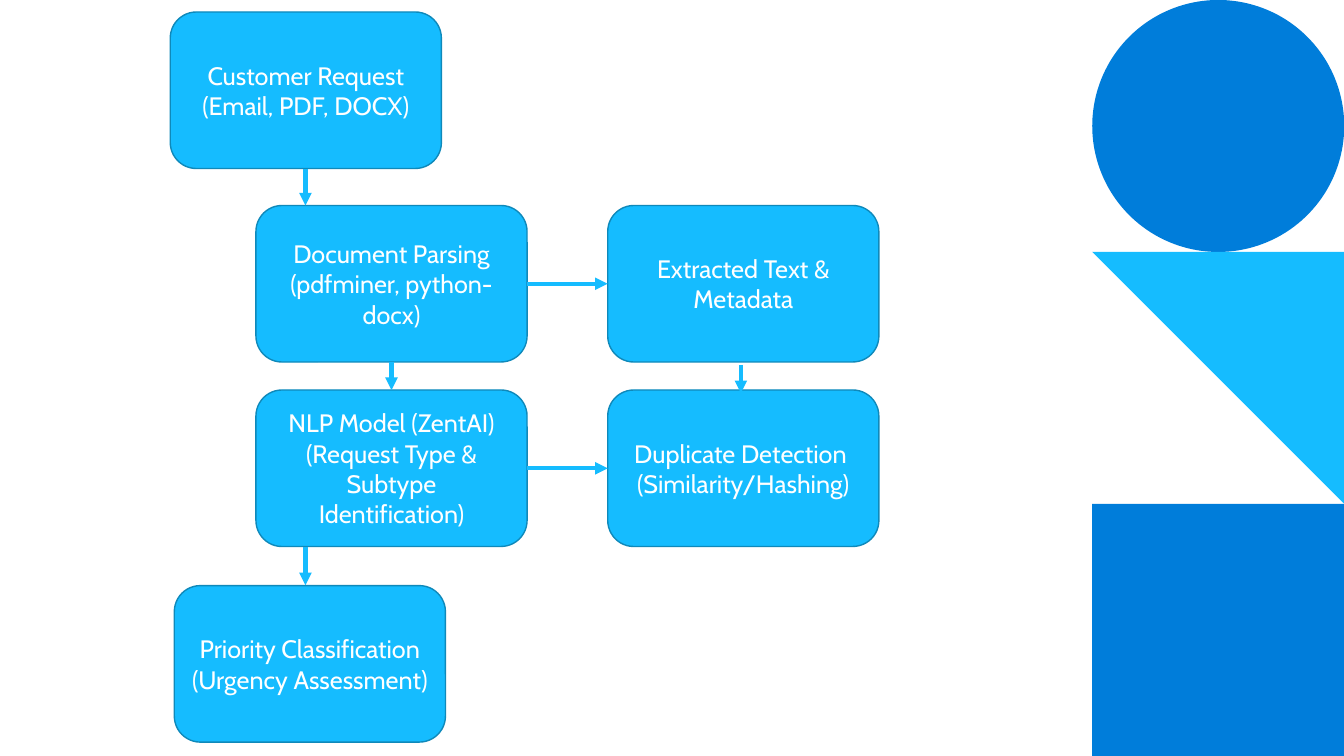
from dataclasses import dataclass

from lxml.etree import SubElement
from pptx import Presentation
from pptx.dml.color import RGBColor
from pptx.enum.shapes import MSO_CONNECTOR as Connector, MSO_SHAPE as Shape
from pptx.enum.text import MSO_ANCHOR as Anchor, PP_ALIGN as Align
from pptx.oxml.ns import qn
from pptx.util import Pt


@dataclass(frozen=True)
class Theme:
    deep: RGBColor = RGBColor(0x00, 0x7D, 0xDA)
    bright: RGBColor = RGBColor(0x15, 0xBC, 0xFF)
    outline: RGBColor = RGBColor(0x0F, 0x89, 0xBA)
    label: RGBColor = RGBColor(0xFF, 0xFF, 0xFF)
    font: str = "Cabin"
    label_size: float = 18
    outline_width: float = 1
    arrow_width: float = 3


THEME = Theme()
STEP_WIDTH, STEP_HEIGHT = 193.7, 111.8
TOP, RIGHT, BOTTOM, LEFT = 0, 3, 2, 1

STEPS = {
    "request": (0, 0, ["Customer Request", "(Email, PDF, DOCX)"]),
    "parsing": (61.2, 138.2, ["Document Parsing", "(pdfminer, python-docx)"]),
    "extracted": (312.5, 138.2, ["Extracted Text & Metadata"]),
    "model": (61.2, 270, ["NLP Model (ZentAI) (Request Type & Subtype Identification)"]),
    "duplicates": (312.5, 270, ["Duplicate Detection ", "(Similarity/Hashing)"]),
    "priority": (2.9, 409.7, ["Priority Classification", "(Urgency Assessment)"]),
}
GLUED_ARROWS = [
    ("parsing", RIGHT, "extracted", LEFT),
    ("model", RIGHT, "duplicates", LEFT),
    ("parsing", BOTTOM, "model", TOP),
]
DOWN_ARROWS = [
    (96.6, 111.8, 138.2),
    (407.6, 252, 272.2),
    (96.6, 382, 409.4),
]


def paint(shape, color):
    shape.shadow.inherit = False
    shape.fill.solid()
    shape.fill.fore_color.rgb = color
    shape.line.fill.background()


def add_step(slide, left, top, lines):
    step = slide.shapes.add_shape(
        Shape.ROUNDED_RECTANGLE, Pt(left), Pt(top), Pt(STEP_WIDTH), Pt(STEP_HEIGHT))
    paint(step, THEME.bright)
    step.line.color.rgb = THEME.outline
    step.line.width = Pt(THEME.outline_width)
    label = step.text_frame
    label.word_wrap = True
    label.vertical_anchor = Anchor.MIDDLE
    label.text = "\n".join(lines)
    for paragraph in label.paragraphs:
        paragraph.alignment = Align.CENTER
        paragraph.font.name = THEME.font
        paragraph.font.size = Pt(THEME.label_size)
        paragraph.font.color.rgb = THEME.label
    return step


def add_arrow(slide, x=0, start=0, end=0):
    arrow = slide.shapes.add_connector(
        Connector.STRAIGHT, Pt(x), Pt(start), Pt(x), Pt(end))
    arrow.line.color.rgb = THEME.bright
    arrow.line.width = Pt(THEME.arrow_width)
    SubElement(arrow.line._get_or_add_ln(), qn("a:tailEnd"), type="triangle")
    SubElement(arrow._element.spPr, qn("a:effectLst"))
    return arrow


def add_flow(slide, left, top):
    steps = {key: add_step(slide, left + dx, top + dy, lines)
             for key, (dx, dy, lines) in STEPS.items()}
    for source, source_side, target, target_side in GLUED_ARROWS:
        arrow = add_arrow(slide)
        arrow.begin_connect(steps[source], source_side)
        arrow.end_connect(steps[target], target_side)
    for dx, start, end in DOWN_ARROWS:
        add_arrow(slide, left + dx, top + start, top + end)


def add_side_band(slide, left, top, tile):
    for kind, row in ((Shape.OVAL, 0), (Shape.RECTANGLE, 2)):
        block = slide.shapes.add_shape(
            kind, Pt(left), Pt(top + row * tile), Pt(tile), Pt(tile))
        paint(block, THEME.deep)
    right, upper, lower = left + tile, top + tile, top + 2 * tile
    outline = slide.shapes.build_freeform(Pt(left), Pt(upper))
    outline.add_line_segments([(Pt(right), Pt(upper)), (Pt(right), Pt(lower))])
    paint(outline.convert_to_shape(), THEME.bright)


def main():
    deck = Presentation()
    deck.slide_width, deck.slide_height = Pt(960), Pt(540)
    slide = deck.slides.add_slide(deck.slide_layouts[6])
    add_side_band(slide, left=780.2, top=0, tile=180)
    add_flow(slide, left=121.6, top=8.6)
    deck.save("out.pptx")


if __name__ == "__main__":
    main()
